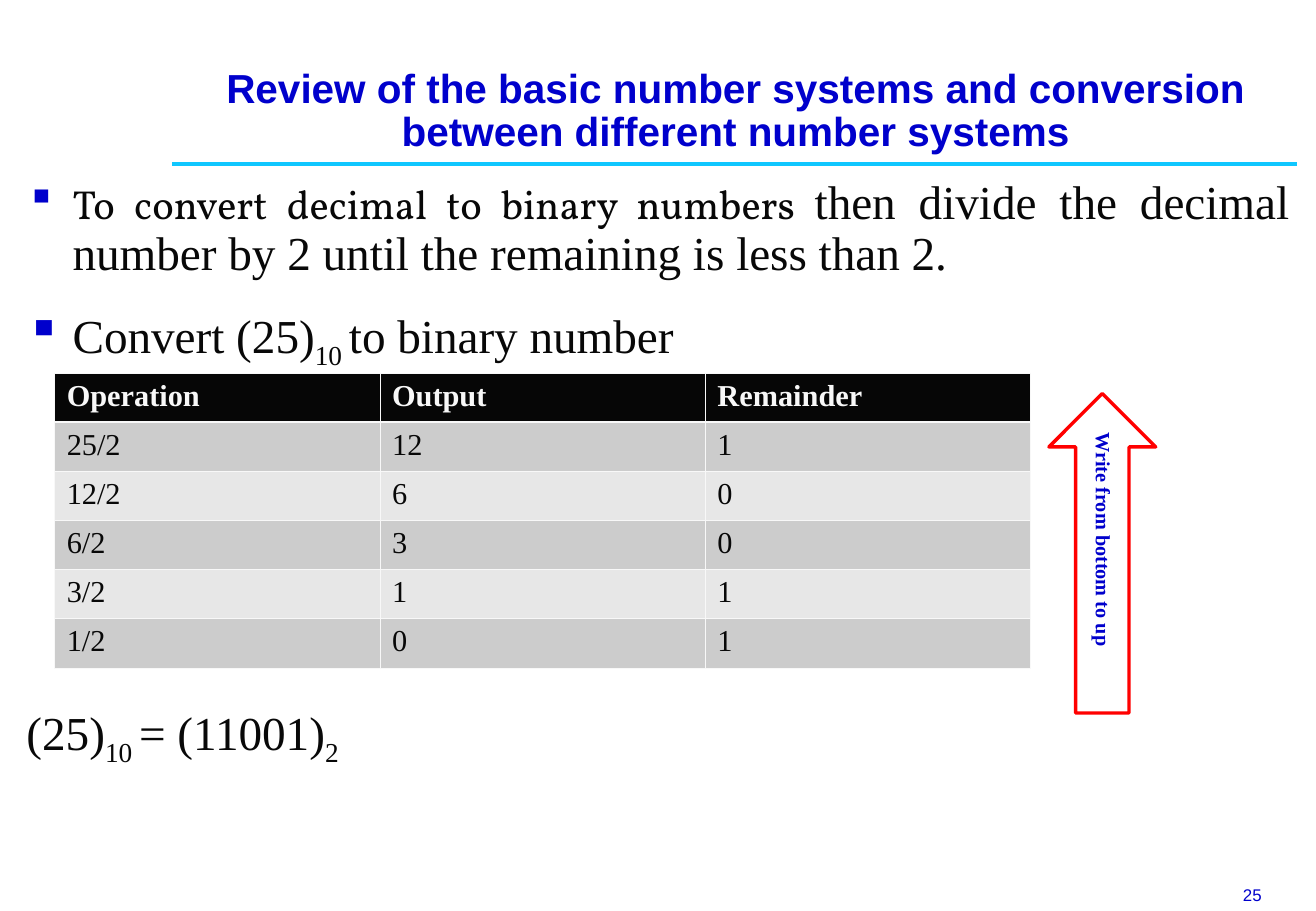
from dataclasses import dataclass
from lxml.etree import SubElement as Sub
from pptx import Presentation
from pptx.dml.color import RGBColor as Rgb
from pptx.enum.shapes import MSO_CONNECTOR as Link, MSO_SHAPE as Shape
from pptx.enum.text import MSO_ANCHOR as Anchor, PP_ALIGN as Align
from pptx.oxml.ns import qn
from pptx.util import Pt

PX = 9144


@dataclass(frozen=True)
class Theme:
    blue: str = "0000CC"
    cyan: str = "0FC7FF"
    red: str = "FF0000"
    ink: str = "080808"
    head: str = "060606"
    pale: str = "F8F8F8"
    bands: tuple = ("CCCCCC", "E7E7E7")
    sans: str = "Arial"
    serif: str = "Times New Roman"
    lead: str = "Vollkorn"
    title: int = 24
    body: int = 28
    cell: int = 18
    note: int = 12
    page: int = 10


T = Theme()
ROWS = [
    ("Operation", "Output", "Remainder"),
    ("25/2", "12", "1"),
    ("12/2", "6", "0"),
    ("6/2", "3", "0"),
    ("3/2", "1", "1"),
    ("1/2", "0", "1"),
]
POINTS = [
    [("To convert decimal to binary numbers ", "lead"),
     ("then divide the decimal number by 2 until the remaining is less than 2.", "")],
    [("Convert (25)", ""), ("10 ", "sub"), ("to binary number", "")],
]
RESULT = [("(25)", ""), ("10 ", "sub"), ("= (11001)", ""), ("2", "sub")]


def emu(box):
    return [n * PX for n in box]


def style(para, face, size, color, bold=False):
    font = para.font
    font.name, font.size, font.bold = face, Pt(size), bold
    font.color.rgb = Rgb.from_string(color)


def text_box(slide, box, wrap=True):
    frame = slide.shapes.add_textbox(*emu(box)).text_frame
    frame.word_wrap = wrap
    return frame


def add_title(slide, box, rule):
    frame = text_box(slide, box)
    frame.vertical_anchor = Anchor.MIDDLE
    para = frame.paragraphs[0]
    para.text = "Review of the basic number systems and conversion between different number systems"
    para.alignment, para.line_spacing = Align.CENTER, 0.9
    style(para, T.sans, T.title, T.blue, True)
    left, top, right = emu(rule)
    line = slide.shapes.add_connector(Link.STRAIGHT, left, top, right, top)
    line.line.color.rgb = Rgb.from_string(T.cyan)
    line.line.width = Pt(2.25)
    Sub(line._element.spPr, qn("a:effectLst"))


def add_bullet(para, indent):
    props = para._p.get_or_add_pPr()
    props.set("marL", str(indent * PX))
    props.set("indent", str(-indent * PX))
    color = Sub(props, qn("a:buClr"))
    Sub(color, qn("a:srgbClr"), val=T.blue)
    Sub(props, qn("a:buChar"), char="▪")


def fill_para(para, parts):
    para.alignment, para.line_spacing = Align.JUSTIFY, 0.9
    style(para, T.serif, T.body, T.ink)
    for words, kind in parts:
        run = para.add_run()
        run.text = words
        if kind == "lead":
            run.font.name, run.font.size = T.lead, Pt(T.title)
        elif kind == "sub":
            run._r.get_or_add_rPr().set("baseline", "-25000")


def add_body(slide, box):
    frame = text_box(slide, box)
    for i, parts in enumerate(POINTS):
        para = frame.add_paragraph() if i else frame.paragraphs[0]
        add_bullet(para, 38)
        if i:
            para.space_before = Pt(15.8)
        fill_para(para, parts)
    para = frame.add_paragraph()
    para.space_before = Pt(201)
    fill_para(para, RESULT)


def edge(cell, sides):
    props = cell._tc.get_or_add_tcPr()
    for i, (side, width) in enumerate(sides.items()):
        line = Sub(props, qn(f"a:ln{side}"), w=str(Pt(width)))
        Sub(Sub(line, qn("a:solidFill")), qn("a:srgbClr"), val=T.pale)
        props.insert(i, line)


def add_grid(slide, box):
    grid = slide.shapes.add_table(len(ROWS), len(ROWS[0]), *emu(box)).table
    for r, row in enumerate(ROWS):
        for c, words in enumerate(row):
            cell = grid.cell(r, c)
            cell.fill.solid()
            color = T.bands[(r - 1) % 2] if r else T.head
            cell.fill.fore_color.rgb = Rgb.from_string(color)
            edge(cell, {"L": 0.45, "R": 0.45, "T": 1.47 if r == 1 else 0.45,
                        "B": 0.45 if r else 1.47})
            para = cell.text_frame.paragraphs[0]
            para.text = words
            style(para, T.serif, T.cell, T.ink if r else T.pale, r == 0)


def add_arrow(slide, box):
    arrow = slide.shapes.add_shape(Shape.UP_ARROW, *emu(box))
    arrow.shadow.inherit = False
    arrow.fill.background()
    arrow.line.color.rgb = Rgb.from_string(T.red)
    arrow.line.width = Pt(2)
    frame = arrow.text_frame
    frame.word_wrap = False
    frame.vertical_anchor = Anchor.MIDDLE
    frame.margin_left = frame.margin_right = 5 * PX
    frame.margin_top = frame.margin_bottom = 10 * PX
    frame._txBody.bodyPr.set("vert", "eaVert")
    para = frame.paragraphs[0]
    para.text = "Write from bottom to up"
    para.alignment, para.line_spacing = Align.CENTER, 0.9
    style(para, T.serif, T.note, T.blue, True)


def add_page(slide, box):
    para = text_box(slide, box, False).paragraphs[0]
    para.text = "25"
    para.line_spacing = 0.9
    style(para, T.sans, T.page, T.blue)


def main():
    deck = Presentation()
    deck.slide_width, deck.slide_height = emu((1084, 750))
    slide = deck.slides.add_slide(deck.slide_layouts[6])
    add_title(slide, (106, 63, 1000, 58), (142, 135, 1068))
    add_body(slide, (12, 142, 1060, 592))
    add_grid(slide, (45, 307, 804, 243))
    add_arrow(slide, (864, 324, 88, 263))
    add_page(slide, (1014, 725, 83, 25))
    deck.save("out.pptx")


if __name__ == "__main__":
    main()
